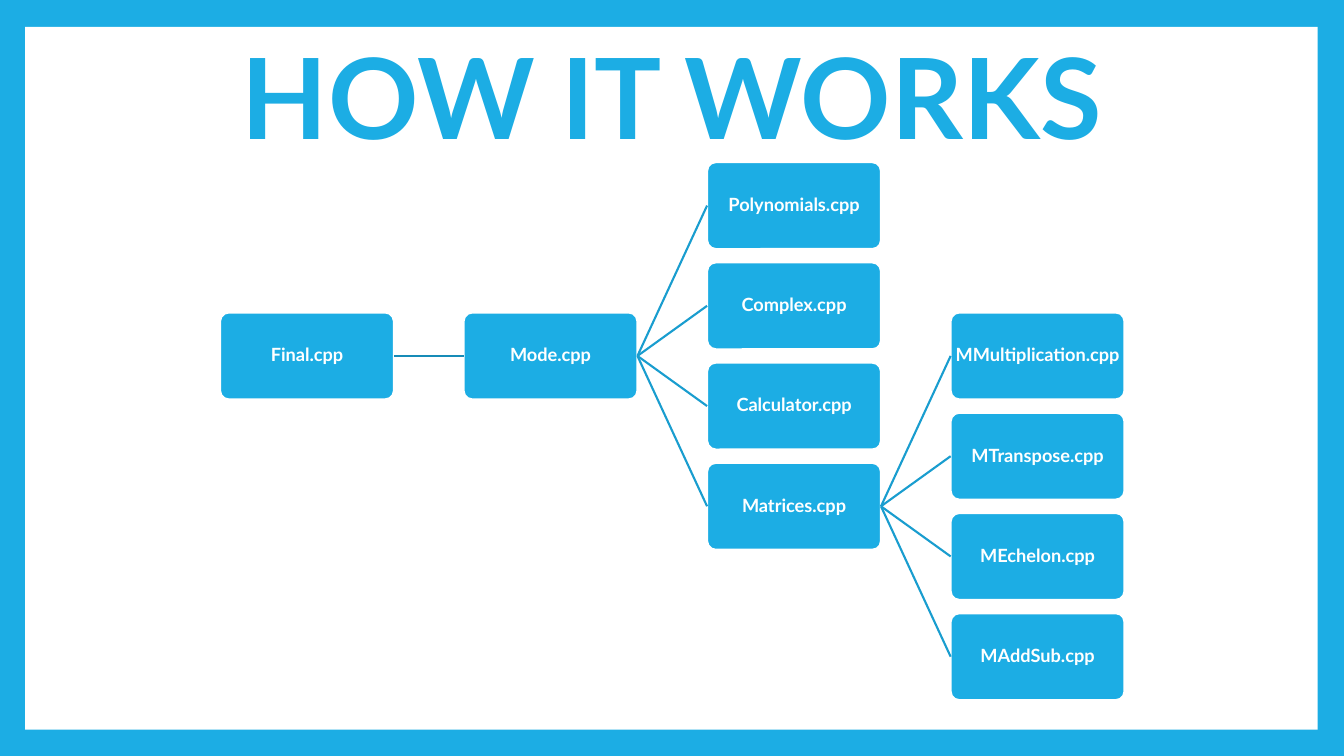
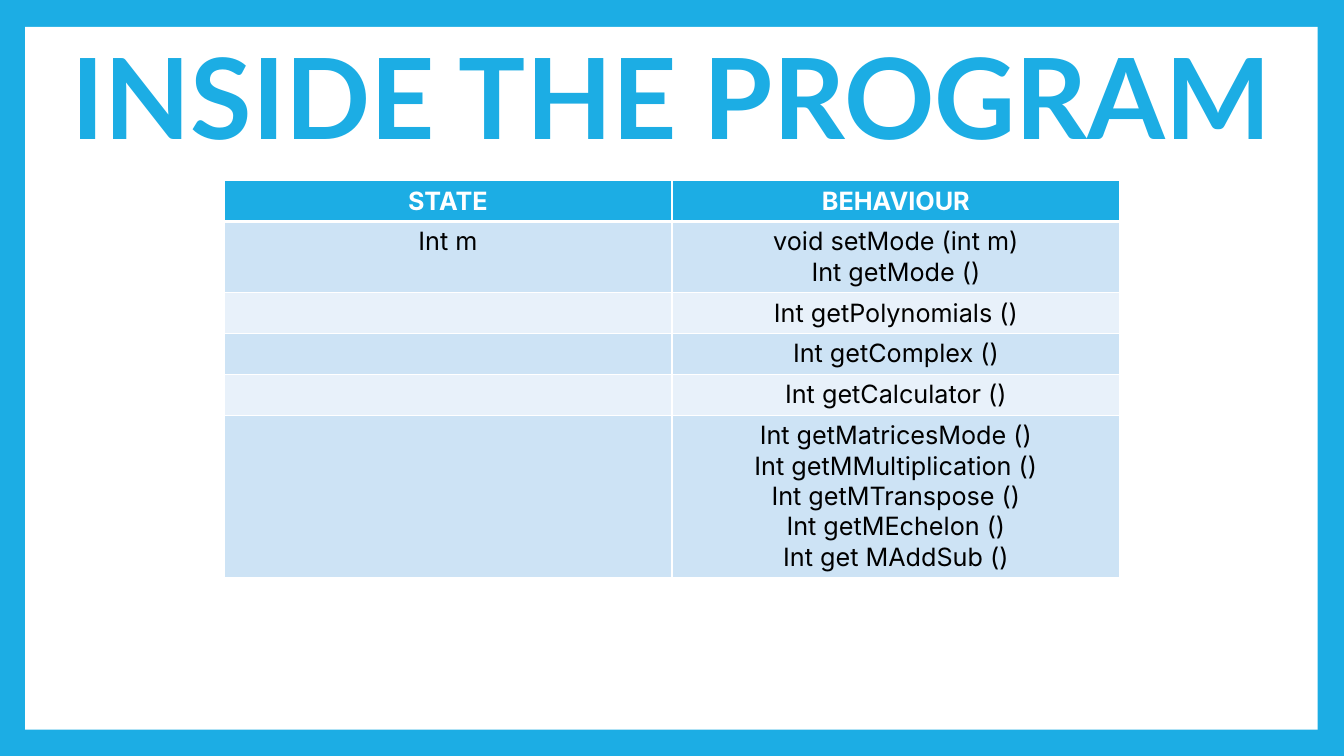
from lxml.etree import SubElement
from pptx import Presentation
from pptx.dml.color import RGBColor
from pptx.enum.shapes import MSO_CONNECTOR, MSO_SHAPE
from pptx.enum.text import MSO_ANCHOR, MSO_AUTO_SIZE, PP_ALIGN
from pptx.oxml.ns import qn
from pptx.util import Pt

COLORS = {
    "blue": "1CADE4",
    "white": "FFFFFF",
    "black": "000000",
    "trunk": "168BB7",
    "branch": "199DCF",
    "band_dark": "CDE3F5",
    "band_light": "E8F1FA",
}
RGB = {name: RGBColor.from_string(value) for name, value in COLORS.items()}


def style_text(frame, font, size, color, bold):
    """Centre every paragraph of a text frame and set its font."""
    for paragraph in frame.paragraphs:
        paragraph.alignment = PP_ALIGN.CENTER
        paragraph.font.name = font
        paragraph.font.size = Pt(size)
        paragraph.font.bold = bold
        paragraph.font.color.rgb = RGB[color]


def set_borders(cell, bottom_width):
    """Give a table cell white borders, 1 pt except at the bottom."""
    properties = cell._tc.get_or_add_tcPr()
    widths = {"a:lnL": 1, "a:lnR": 1, "a:lnT": 1, "a:lnB": bottom_width}
    for position, (tag, width) in enumerate(widths.items()):
        border = SubElement(properties, qn(tag), w=str(Pt(width)))
        fill = SubElement(border, qn("a:solidFill"))
        SubElement(fill, qn("a:srgbClr"), val=COLORS["white"])
        properties.insert(position, border)


prs = Presentation()
prs.slide_width, prs.slide_height = Pt(960), Pt(540)

# Shared blue background and title place
background = prs.slide_master.background.fill
background.solid()
background.fore_color.rgb = RGB["blue"]
layout = prs.slide_layouts[5]
title_place = layout.placeholders[0]
title_place.left, title_place.top = Pt(43.3), Pt(20.2)
title_place.width, title_place.height = Pt(873.4), Pt(106.6)

slides = []
for heading in ("HOW IT WORKS", "INSIDE THE PROGRAM"):
    slide = prs.slides.add_slide(layout)
    title = slide.shapes.title.text_frame
    title.text = heading
    title.auto_size = MSO_AUTO_SIZE.NONE
    title.vertical_anchor = MSO_ANCHOR.MIDDLE
    title.paragraphs[0].line_spacing = 0.9
    style_text(title, "Lato", 80, "blue", True)
    slides.append(slide)
flow_slide, program_slide = slides

# White page, moved to the back of the shared layout
page = flow_slide.shapes.add_shape(
    MSO_SHAPE.RECTANGLE, Pt(18), Pt(19.2), Pt(923.2), Pt(502))
page.shadow.inherit = False
page.fill.solid()
page.fill.fore_color.rgb = RGB["white"]
page.line.fill.background()
layout.shapes.element.insert(2, page.element)

# Slide 1: call tree as (file, caller, column, row)
FILES = [("Final.cpp", None, 0, 1.5), ("Mode.cpp", "Final.cpp", 1, 1.5)]
BRANCHES = [
    ("Mode.cpp", 2, 0,
     ["Polynomials.cpp", "Complex.cpp", "Calculator.cpp", "Matrices.cpp"]),
    ("Matrices.cpp", 3, 1.5,
     ["MMultiplication.cpp", "MTranspose.cpp", "MEchelon.cpp", "MAddSub.cpp"]),
]
for caller, column, first_row, names in BRANCHES:
    FILES += [(name, caller, column, first_row + step)
              for step, name in enumerate(names)]

TREE_LEFT, TREE_TOP = 157.2, 115.8
COLUMN_STEP, ROW_STEP = 173.95, 71.6
BOX_WIDTH, BOX_HEIGHT = 124.2, 62.1

boxes = {}
for name, caller, column, row in FILES:
    box = flow_slide.shapes.add_shape(
        MSO_SHAPE.ROUNDED_RECTANGLE,
        Pt(TREE_LEFT + column * COLUMN_STEP), Pt(TREE_TOP + row * ROW_STEP),
        Pt(BOX_WIDTH), Pt(BOX_HEIGHT))
    box.adjustments[0] = 0.1
    box.shadow.inherit = False
    box.fill.solid()
    box.fill.fore_color.rgb = RGB["blue"]
    box.line.color.rgb = RGB["white"]
    box.line.width = Pt(1.5)
    label = box.text_frame
    label.text = name
    label.word_wrap = True
    label.vertical_anchor = MSO_ANCHOR.MIDDLE
    label.margin_left = label.margin_right = Pt(0.7)
    label.margin_top = label.margin_bottom = Pt(0.7)
    label.paragraphs[0].line_spacing = 0.9
    style_text(label, "Lato", 13, "white", True)
    boxes[name] = box

    if caller:
        call = flow_slide.shapes.add_connector(MSO_CONNECTOR.STRAIGHT, 0, 0, 0, 0)
        call.begin_connect(boxes[caller], 3)
        call.end_connect(box, 1)
        call.line.color.rgb = RGB["trunk" if column == 1 else "branch"]
        call.line.width = Pt(1.5)
        SubElement(call.element.spPr, qn("a:effectLst"))

# Slide 2: state and behaviour table
MEMBERS = [
    (["STATE"], ["BEHAVIOUR"]),
    (["Int m"], ["void setMode (int m)", "Int getMode ()"]),
    ([], ["Int getPolynomials ()"]),
    ([], ["Int getComplex ()"]),
    ([], ["Int getCalculator ()"]),
    ([], ["Int getMatricesMode ()", "Int getMMultiplication ()",
          "Int getMTranspose ()", "Int getMEchelon ()", "Int get MAddSub ()"]),
]
ROW_HEIGHT, EXTRA_LINE = 29.2, 21.6

members = program_slide.shapes.add_table(
    len(MEMBERS), 2, Pt(160), Pt(129), Pt(640), Pt(ROW_HEIGHT * len(MEMBERS))).table
for row, entries in enumerate(MEMBERS):
    is_header = row == 0
    members.rows[row].height = Pt(ROW_HEIGHT + EXTRA_LINE * (len(entries[1]) - 1))
    band = "blue" if is_header else "band_dark" if row % 2 else "band_light"
    for column, lines in enumerate(entries):
        cell = members.cell(row, column)
        cell.fill.solid()
        cell.fill.fore_color.rgb = RGB[band]
        set_borders(cell, 3 if is_header else 1)
        if lines:
            cell.text = "\n".join(lines)
            style_text(cell.text_frame, "Inter", 18,
                       "white" if is_header else "black", is_header)

prs.save("out.pptx")
